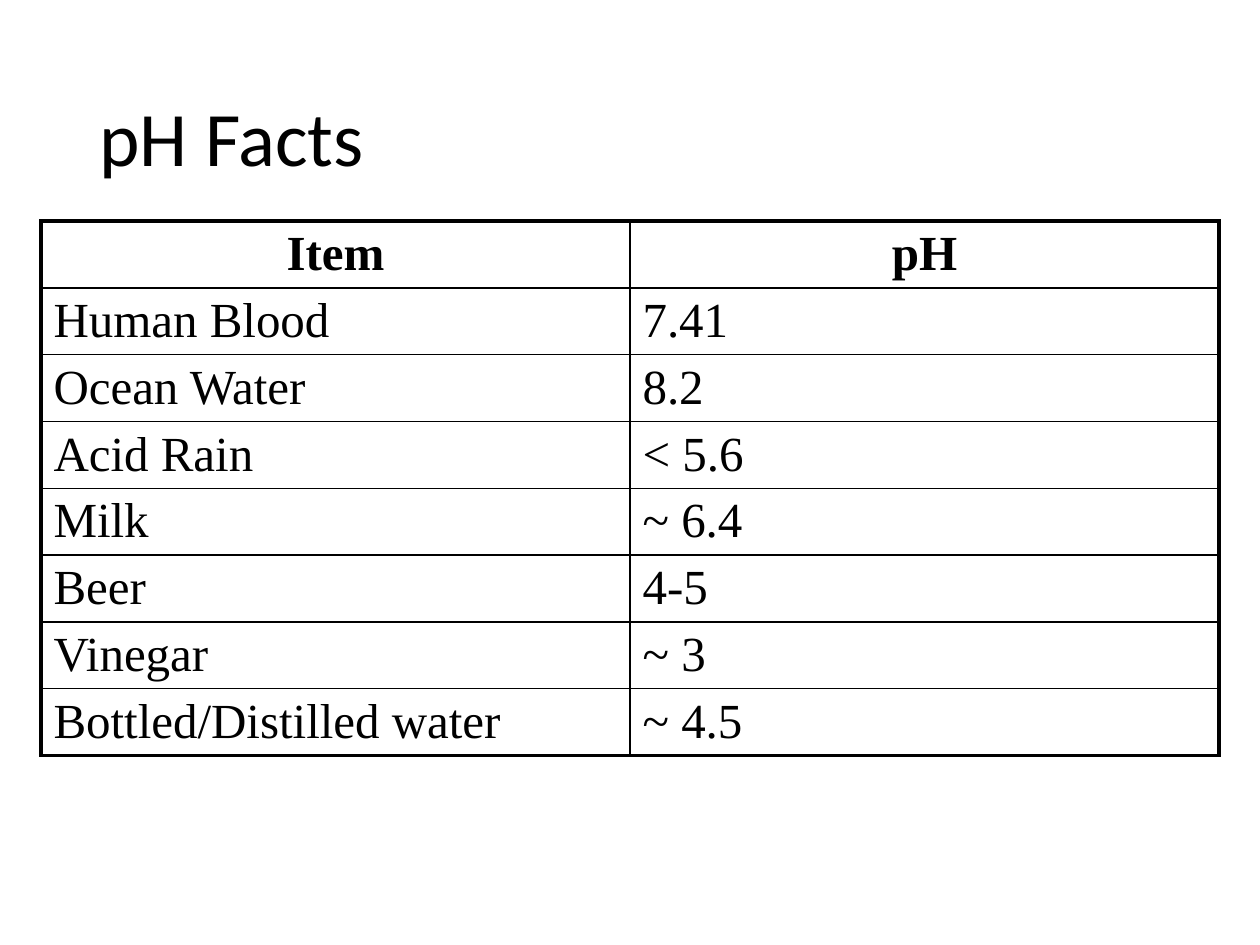
from lxml import etree
from pptx import Presentation, util as u
from pptx.dml.color import RGBColor
from pptx.enum import text
from pptx.oxml import ns

PX = 914400 // 126
BLACK = "000000"
THIN, THICK = 1, 2.25
ROWS = [
    ("Item", "pH"),
    ("Human Blood", "7.41"),
    ("Ocean Water", "8.2"),
    ("Acid Rain", "< 5.6"),
    ("Milk", "~ 6.4"),
    ("Beer", "4-5"),
    ("Vinegar", "~ 3"),
    ("Bottled/Distilled water", "~ 4.5"),
]


def px(length):
    return u.Emu(length * PX)


def color(value):
    return RGBColor.from_string(value)


def add_run(paragraph, words, font, size, bold=False):
    run = paragraph.add_run()
    run.text = words
    run.font.name = font
    run.font.size = u.Pt(size)
    run.font.bold = bold
    run.font.color.rgb = color(BLACK)


def add_title(slide, words, left, top, width, height):
    shape = slide.shapes.add_textbox(px(left), px(top), px(width), px(height))
    frame = shape.text_frame
    frame.word_wrap = True
    frame.vertical_anchor = text.MSO_ANCHOR.MIDDLE
    paragraph = frame.paragraphs[0]
    paragraph.line_spacing = 0.9
    add_run(paragraph, words, "Calibri", 44)


def add_border(cell, side, width):
    properties = cell._tc.get_or_add_tcPr()
    line = etree.SubElement(properties, ns.qn(f"a:ln{side}"), w=str(u.Pt(width)))
    fill = etree.SubElement(line, ns.qn("a:solidFill"))
    etree.SubElement(fill, ns.qn("a:srgbClr"), val=BLACK)


def fill_cell(cell, words, is_header):
    cell.margin_top, cell.margin_bottom = px(6), px(2)
    cell.vertical_anchor = text.MSO_ANCHOR.TOP
    paragraph = cell.text_frame.paragraphs[0]
    paragraph.alignment = text.PP_ALIGN.CENTER if is_header else text.PP_ALIGN.LEFT
    add_run(paragraph, words, "Times New Roman", 28, is_header)


def add_ph_table(slide, left, top, column_width, row_height):
    row_count, column_count = len(ROWS), len(ROWS[0])
    table = slide.shapes.add_table(
        row_count, column_count, px(left), px(top),
        px(column_width * column_count), px(row_height * row_count)).table
    table.first_row = table.horz_banding = False
    for row, items in enumerate(ROWS):
        for column, words in enumerate(items):
            cell = table.cell(row, column)
            fill_cell(cell, words, row == 0)
            # Thick frame outside, thin rules inside
            outer = {"L": column == 0, "R": column == column_count - 1,
                     "T": row == 0, "B": row == row_count - 1}
            for side, is_outer in outer.items():
                add_border(cell, side, THICK if is_outer else THIN)
            cell.fill.background()


def main():
    presentation = Presentation()
    presentation.slide_width, presentation.slide_height = px(1260), px(945)
    slide = presentation.slides.add_slide(presentation.slide_layouts[6])
    # Heading
    add_title(slide, "pH Facts", 87, 50, 1086, 183)
    # Items and their pH values
    add_ph_table(slide, 41, 221, 589, 66)
    presentation.save("out.pptx")


if __name__ == "__main__":
    main()
